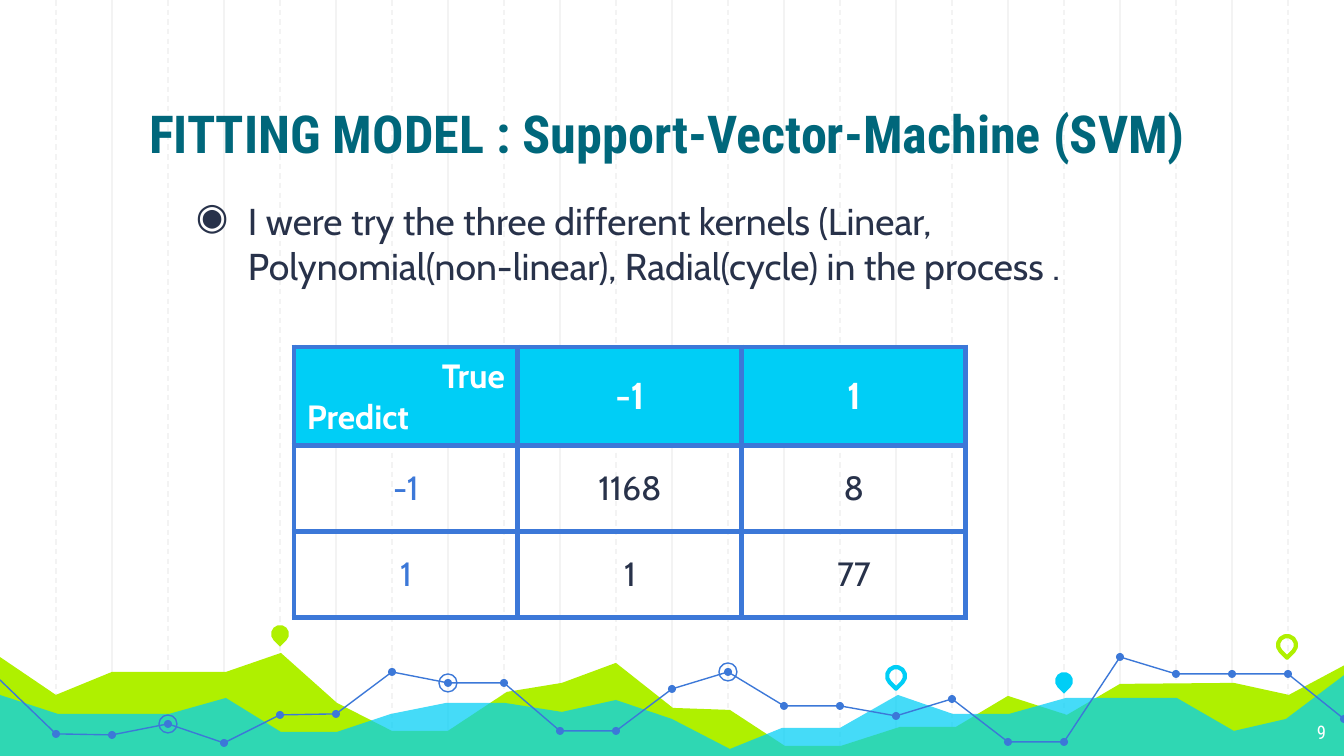
from pptx import Presentation
from pptx import util as u
from pptx.dml import color
from pptx.enum import dml, shapes, text
from pptx.oxml import ns, xmlchemy

PX = 9144000 / 1344
WIDTH, HEIGHT, STEP = 1344, 756, 56
GRID_END = 759
PIN, RING, DOT = 18, 18, 8
LIME, CYAN, BLUE = "AFF000", "00CEF6", "3C78D8"
TEAL, NAVY, WHITE, GREY = "00677B", "28324A", "FFFFFF", "F3F3F3"
HEADING_FONT, BODY_FONT = "Roboto Condensed", "Cabin"
LEFT, CENTER, RIGHT = text.PP_ALIGN.LEFT, text.PP_ALIGN.CENTER, text.PP_ALIGN.RIGHT

LIME_HILLS = [
    (-3, 655), (56, 695), (112, 672), (226, 672), (281, 653), (337, 703),
    (392, 731), (448, 731), (507, 692), (562, 683), (616, 663), (673, 708),
    (730, 710), (785, 746), (841, 746), (900, 727), (956, 727), (1008, 696),
    (1067, 715), (1120, 684), (1234, 683), (1289, 695), (1347, 664),
    (1345, 758), (-4, 758),
]
CYAN_HILLS = [
    (-3, 694), (58, 714), (169, 714), (226, 698), (281, 732), (337, 732),
    (391, 714), (446, 703), (505, 703), (562, 712), (616, 700), (672, 719),
    (730, 749), (782, 728), (840, 728), (898, 695), (953, 714), (1009, 714),
    (1066, 698), (1177, 698), (1234, 731), (1286, 719), (1347, 673),
    (1347, 759), (-4, 759),
]
TREND_LEVELS = [
    680, 734, 735, 724, 743, 715, 714, 672, 683, 683, 731, 731, 689,
    672, 706, 706, 716, 699, 742, 742, 657, 674, 674, 674, 719,
]
TREND_BREAKS = [(0, 11), (11, 20), (20, 24)]
RINGED_STOPS = [3, 8, 13]
PINS = [
    (271, 625, {"fill": LIME}),
    (887, 667, {"line": CYAN, "weight": 2.25}),
    (1055, 672, {"fill": CYAN}),
    (1278, 636, {"line": LIME, "weight": 2.25}),
]
CONFUSION = [["-1", "1"], ["1168", "8"], ["1", "77"]]


def px(value):
    return u.Emu(round(value * PX))


def rgb(code):
    return color.RGBColor.from_string(code)


def assign(target, values):
    for key, value in values.items():
        setattr(target, key, value)


def add_xml(parent, tag, **attributes):
    child = xmlchemy.OxmlElement(tag)
    for key, value in attributes.items():
        child.set(key, str(value))
    parent.append(child)
    return child


def paint(shape, fill=None, line=None, weight=0.75):
    shape.shadow.inherit = False
    if fill:
        shape.fill.solid()
        shape.fill.fore_color.rgb = rgb(fill)
    else:
        shape.fill.background()
    if line:
        shape.line.color.rgb = rgb(line)
        shape.line.width = u.Pt(weight)
    else:
        shape.line.fill.background()


def add_grid_line(slide, column, dashed):
    x = column * STEP
    rule = slide.shapes.add_connector(
        shapes.MSO_CONNECTOR.STRAIGHT, px(x), 0, px(x), px(GRID_END))
    rule.line.color.rgb = rgb(GREY)
    rule.line.width = u.Pt(0.75)
    if dashed:
        rule.line.dash_style = dml.MSO_LINE.DASH
    add_xml(rule._element.spPr, "a:effectLst")


def add_outline(slide, points, closed, alpha=None, **look):
    builder = slide.shapes.build_freeform(*points[0], scale=PX)
    builder.add_line_segments(points[1:], close=closed)
    outline = builder.convert_to_shape()
    paint(outline, **look)
    if alpha:
        fill_color = outline._element.spPr.find(ns.qn("a:solidFill"))[0]
        add_xml(fill_color, "a:alpha", val=alpha * 1000)


def add_mark(slide, kind, x, y, size, rotation=0, **look):
    mark = slide.shapes.add_shape(kind, px(x), px(y), px(size), px(size))
    mark.rotation = rotation
    paint(mark, **look)


def add_stop(slide, stop, size, **look):
    add_mark(slide, shapes.MSO_SHAPE.OVAL, stop * STEP - size // 2,
             TREND_LEVELS[stop] - size // 2, size, **look)


def write(paragraph, words, font, size, ink, bold=False, align=LEFT):
    run = paragraph.add_run()
    run.text = words
    paragraph.alignment = align
    assign(run.font, {"name": font, "size": u.Pt(size), "bold": bold})
    run.font.color.rgb = rgb(ink)


def add_words(slide, box, words, font, size, ink, frame_format=None, **style):
    frame = slide.shapes.add_textbox(*map(px, box)).text_frame
    margins = dict.fromkeys(
        ["margin_left", "margin_right", "margin_top", "margin_bottom"], px(13))
    assign(frame, {"word_wrap": True, **margins, **(frame_format or {})})
    paragraph = frame.paragraphs[0]
    write(paragraph, words, font, size, ink, **style)
    return paragraph


def add_bullet(paragraph, symbol, ink):
    properties = paragraph._p.get_or_add_pPr()
    assign(properties, {"marL": px(67), "indent": px(-52)})
    properties.set("marL", str(px(67)))
    properties.set("indent", str(px(-52)))
    add_xml(add_xml(properties, "a:buClr"), "a:srgbClr", val=ink)
    add_xml(properties, "a:buChar", char=symbol)


def format_cell(cell, fill):
    properties = cell._tc.get_or_add_tcPr()
    for side in "LRTB":
        border = add_xml(properties, f"a:ln{side}", w=u.Pt(3))
        add_xml(add_xml(border, "a:solidFill"), "a:srgbClr", val=BLUE)
    assign(cell, {
        "margin_left": px(13), "margin_right": px(13),
        "margin_top": px(9), "margin_bottom": px(9),
        "vertical_anchor": text.MSO_ANCHOR.MIDDLE,
    })
    if fill:
        cell.fill.solid()
        cell.fill.fore_color.rgb = rgb(fill)
    else:
        cell.fill.background()


def add_confusion_table(slide):
    table = slide.shapes.add_table(
        3, 3, px(294), px(347), px(672), px(258)).table
    assign(table, {"first_row": False, "horz_banding": False})
    for row, counts in enumerate(CONFUSION):
        for column in range(3):
            cell = table.cell(row, column)
            format_cell(cell, CYAN if row == 0 else None)
            first = cell.text_frame.paragraphs[0]
            if row == column == 0:
                write(first, "True", BODY_FONT, 18, WHITE, True, RIGHT)
                write(cell.text_frame.add_paragraph(), "Predict",
                      BODY_FONT, 18, WHITE, True)
            elif row == 0:
                write(first, counts[column - 1], BODY_FONT, 20, WHITE, True, CENTER)
            elif column == 0:
                write(first, CONFUSION[0][row - 1], BODY_FONT, 18, BLUE, align=CENTER)
            else:
                write(first, counts[column - 1], BODY_FONT, 18, NAVY, align=CENTER)


def add_landscape(slide):
    for first, last, dashed in [(2, 22, False), (1, 23, True)]:
        for column in range(first, last + 1, 2):
            add_grid_line(slide, column, dashed)
    add_outline(slide, LIME_HILLS, True, fill=LIME)
    add_outline(slide, CYAN_HILLS, True, alpha=73, fill=CYAN)
    for x, y, look in PINS:
        add_mark(slide, shapes.MSO_SHAPE.TEAR, x, y, PIN, 135, **look)
    for first, last in TREND_BREAKS:
        points = [(stop * STEP, TREND_LEVELS[stop]) for stop in range(first, last + 1)]
        add_outline(slide, points, False, line=BLUE)
    for stop in range(1, len(TREND_LEVELS)):
        add_stop(slide, stop, DOT, fill=BLUE)
    for stop in RINGED_STOPS:
        add_stop(slide, stop, RING, line=BLUE)


def main():
    deck = Presentation()
    assign(deck, {"slide_width": px(WIDTH), "slide_height": px(HEIGHT)})
    slide = deck.slides.add_slide(deck.slide_layouts[6])
    add_landscape(slide)
    add_words(slide, (136, 93, 1071, 133),
              "FITTING MODEL : Support-Vector-Machine (SVM)",
              HEADING_FONT, 28, TEAL, bold=True,
              frame_format={"vertical_anchor": text.MSO_ANCHOR.BOTTOM,
                            "margin_bottom": px(74)})
    kernels = add_words(
        slide, (168, 185, 923, 253),
        "I were try the three different kernels (Linear, "
        "Polynomial(non-linear), Radial(cycle) in the process .",
        BODY_FONT, 20, NAVY)
    add_bullet(kernels, "◉", NAVY)
    add_words(slide, (1258, 710, 81, 47), "9", HEADING_FONT, 10, WHITE, align=RIGHT)
    add_confusion_table(slide)
    deck.save("out.pptx")


if __name__ == "__main__":
    main()
